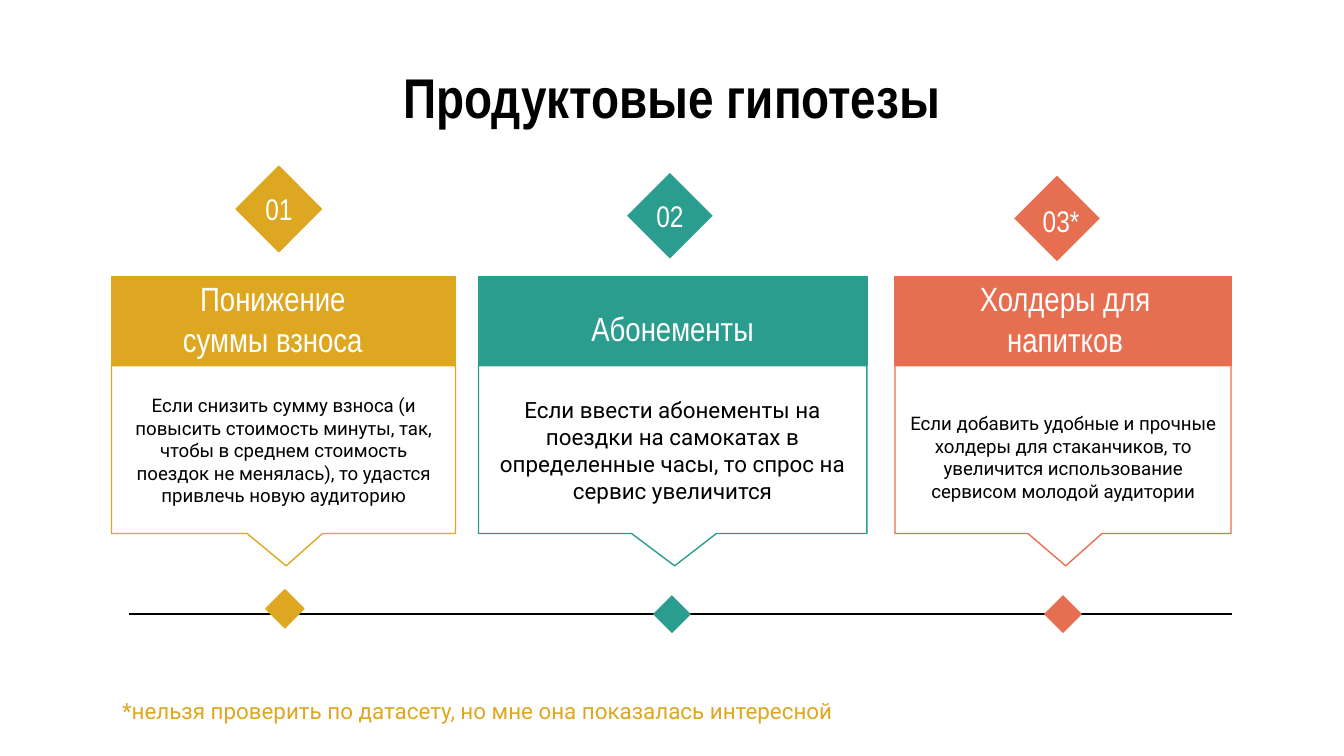
import pptx
import pptx.util
import pptx.dml.color
import pptx.enum.shapes
import pptx.enum.text
from lxml import etree

Inches = pptx.util.Inches
Pt = pptx.util.Pt
Kind = pptx.enum.shapes.MSO_SHAPE
Align = pptx.enum.text.PP_ALIGN
Anchor = pptx.enum.text.MSO_ANCHOR

TITLE = "Продуктовые гипотезы"
NOTE = "*нельзя проверить по датасету, но мне она показалась интересной"
GOLD = "DEA721"
CARDS = [
    dict(num="01", head="Понижение суммы взноса", color=GOLD, edge=GOLD, size=10,
         text="Если снизить сумму взноса (и повысить стоимость минуты, так, чтобы в среднем "
              "стоимость поездок не менялась), то удастся привлечь новую аудиторию",
         left=0.83, right=3.39, tip=(1.84, 2.13, 2.4), badge=(1.85, 1.33),
         label=(1.74, 1.32), dot=(2.02, 4.43), title=(1.09, 2.23, 1.88), high=0.98),
    dict(num="02", head="Абонементы", color="2A9D8F", edge=None, size=12,
         text="Если ввести абонементы на поездки на самокатах в определенные часы, "
              "то спрос на сервис увеличится",
         left=3.56, right=6.45, tip=(4.7, 5.02, 5.33), badge=(4.76, 1.38),
         label=(4.65, 1.37), dot=(4.9, 4.47), title=(3.94, 2.3, 2.13), high=0.98),
    dict(num="03*", head="Холдеры для напитков", color="E76F51", edge=None, size=10,
         text="Если добавить удобные и прочные холдеры для стаканчиков, то увеличится "
              "использование сервисом молодой аудитории",
         left=6.66, right=9.16, tip=(7.65, 7.93, 8.2), badge=(7.64, 1.4),
         label=(7.56, 1.41), dot=(7.81, 4.47), title=(6.75, 2.23, 2.35), high=1.08),
]
TOP, SPLIT, BASE, POINT = 2.06, 2.72, 3.97, 4.21


def rgb(color):
    return pptx.dml.color.RGBColor.from_string(color)


def paint(shape, fill, line):
    shape.shadow.inherit = False
    shape.fill.solid()
    shape.fill.fore_color.rgb = rgb(fill)
    if line:
        shape.line.color.rgb = rgb(line)
        shape.line.width = Pt(0.75)
    else:
        shape.line.fill.background()


def write(shape, text, size, font, color, align=Align.CENTER, bold=False, pad=0.1):
    frame = shape.text_frame
    frame.text = text
    frame.word_wrap = True
    frame.vertical_anchor = Anchor.MIDDLE
    frame.margin_left = frame.margin_right = Inches(0.1)
    frame.margin_top = frame.margin_bottom = Inches(pad)
    para = frame.paragraphs[0]
    para.alignment = align
    face = para.runs[0].font
    face.size, face.name, face.bold = Pt(size), font, bold
    face.color.rgb = rgb(color)


def label(shapes, box, *args, **kw):
    write(shapes.add_textbox(*map(Inches, box)), *args, **kw)


def diamond(shapes, spot, side, color, edge):
    shape = shapes.add_shape(Kind.RECTANGLE, *map(Inches, (*spot, side, side)))
    shape.rotation = 315
    paint(shape, color, edge)


def outline(shapes, points, fill, line):
    spots = [(Inches(x), Inches(y)) for x, y in points]
    pen = shapes.build_freeform(*spots[0])
    pen.add_line_segments(spots[1:], close=True)
    paint(pen.convert_to_shape(), fill, line)


def card(shapes, item):
    left, right, color = item["left"], item["right"], item["color"]
    start, mid, end = item["tip"]
    outline(shapes, [(left, TOP), (left, SPLIT), (right, SPLIT), (right, TOP)], color, color)
    outline(shapes, [(left, SPLIT), (left, BASE), (start, BASE), (mid, POINT),
                     (end, BASE), (right, BASE), (right, SPLIT)], "FFFFFF", color)
    label(shapes, (*item["title"], 0.28), item["head"], 18, "Arial Narrow", "FFFFFF")
    label(shapes, (left - 0.02, 2.86, right - left + 0.04, item["high"]),
          item["text"], item["size"], "Roboto", "000000")


def main():
    deck = pptx.Presentation()
    deck.slide_width = Inches(10)
    deck.slide_height = deck.slide_width * 9 // 16
    slide = deck.slides.add_slide(deck.slide_layouts[5])
    shapes = slide.shapes

    title = shapes.title
    title.left, title.top, title.width, title.height = map(Inches, (0.5, 0.45, 9, 0.53))
    write(title, TITLE, 30, "Arial Narrow", "000000", bold=True)

    axis = shapes.add_connector(pptx.enum.shapes.MSO_CONNECTOR.STRAIGHT,
                                *map(Inches, (0.96, 4.57, 9.17, 4.57)))
    axis.line.color.rgb = rgb("000000")
    axis.line.width = Pt(0.75)
    etree.SubElement(axis._element.spPr, pptx.oxml.ns.qn("a:effectLst"))

    for item in CARDS:
        diamond(shapes, item["badge"], 0.45, item["color"], item["edge"])
        diamond(shapes, item["dot"], 0.2, item["color"], item["edge"])
        card(shapes.add_group_shape().shapes, item)
        label(shapes, (*item["label"], 0.67, 0.47), item["num"], 16, "Arial Narrow", "FFFFFF")

    label(shapes, (0.81, 5.14, 5.73, 0.3), NOTE, 12, "Roboto", GOLD,
          align=Align.LEFT, pad=0.05)
    deck.save("out.pptx")


if __name__ == "__main__":
    main()
